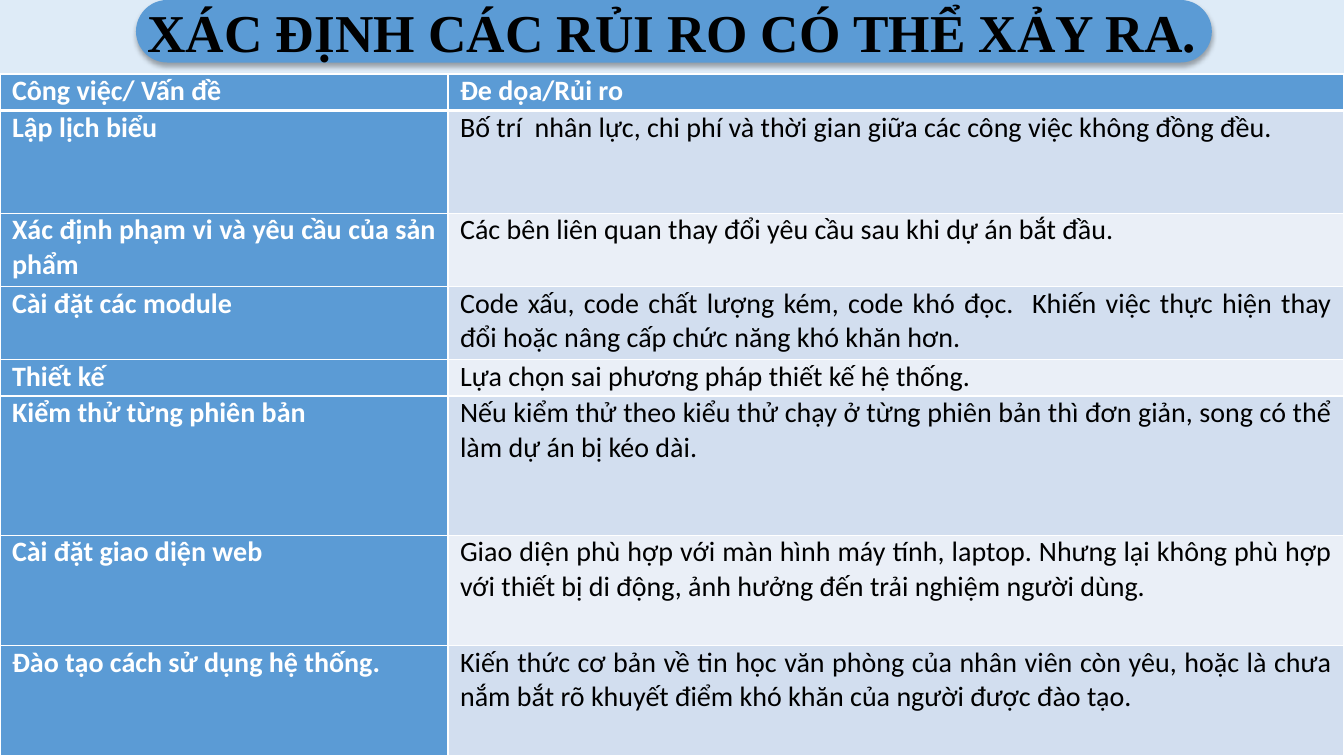
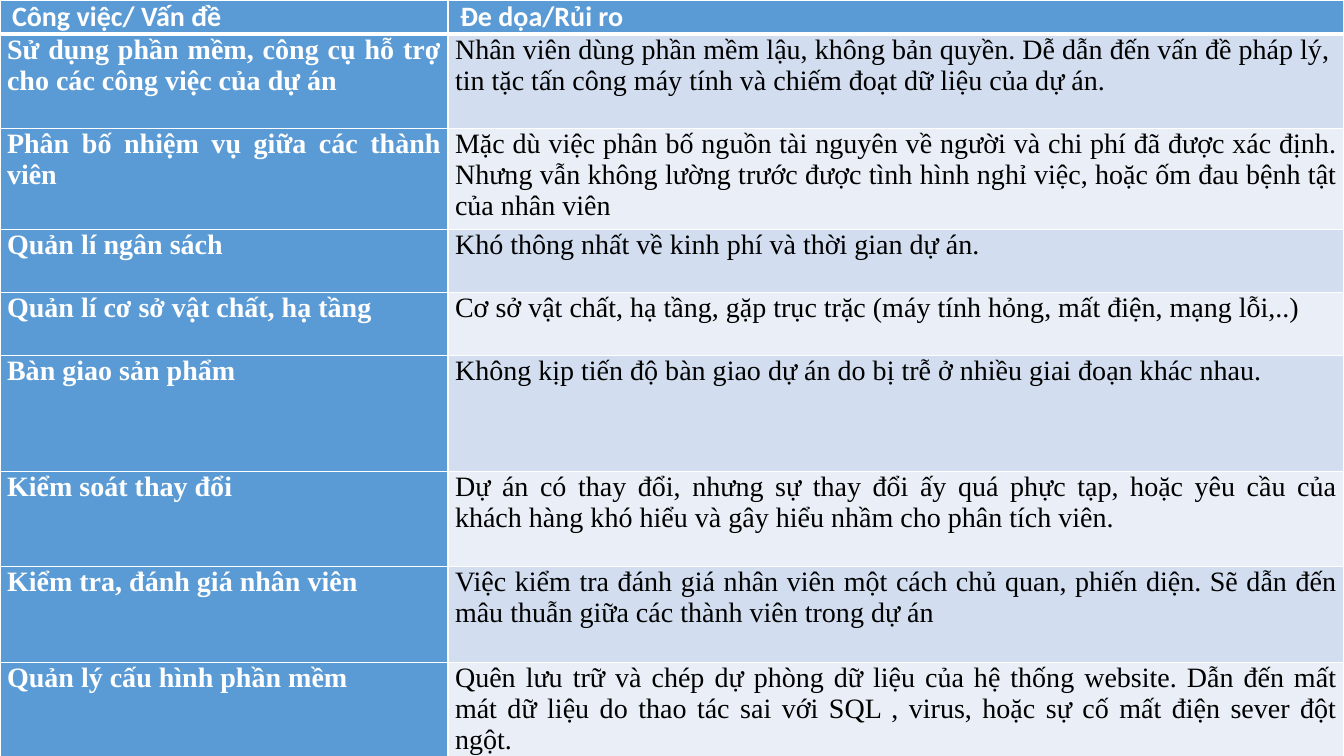
"""Build two slides that list project risks by task."""
from lxml.etree import SubElement
from pptx import Presentation
from pptx.dml.color import RGBColor
from pptx.enum.shapes import MSO_SHAPE
from pptx.enum.text import MSO_ANCHOR, PP_ALIGN
from pptx.oxml.ns import qn
from pptx.util import Inches, Pt

COLORS = {
    "background": "DEEBF7",
    "accent": "5B9BD5",
    "band_dark": "D2DEEF",
    "band_light": "EAEFF7",
    "light": "FFFFFF",
    "dark": "000000",
}
SANS = "Calibri"
SERIF = "Times New Roman"
HEADER = ("Công việc/ Vấn đề", "Đe dọa/Rủi ro")

PLANNING_RISKS = [
    (13.6, "Lập lịch biểu",
     "Bố trí  nhân lực, chi phí và thời gian giữa các công việc không đồng đều."),
    (9.7, "Xác định phạm vi và yêu cầu của sản phẩm",
     "Các bên liên quan thay đổi yêu cầu sau khi dự án bắt đầu."),
    (9.7, "Cài đặt các module",
     "Code xấu, code chất lượng kém, code khó đọc.  Khiến việc thực hiện thay "
     "đổi hoặc nâng cấp chức năng khó khăn hơn."),
    (4.8, "Thiết kế",
     "Lựa chọn sai phương pháp thiết kế hệ thống."),
    (18.4, "Kiểm thử từng phiên bản",
     "Nếu kiểm thử theo kiểu thử chạy ở từng phiên bản thì đơn giản, song có thể "
     "làm dự án bị kéo dài."),
    (14.6, "Cài đặt giao diện web",
     "Giao diện phù hợp với màn hình máy tính, laptop. Nhưng lại không phù hợp "
     "với thiết bị di động, ảnh hưởng đến trải nghiệm người dùng."),
    (14.6, "Đào tạo cách sử dụng hệ thống.",
     "Kiến thức cơ bản về tin học văn phòng của nhân viên còn yêu, hoặc là chưa "
     "nắm bắt rõ khuyết điểm khó khăn của người được đào tạo."),
]

OPERATION_RISKS = [
    (12.5, "Sử dụng phần mềm, công cụ hỗ trợ cho các công việc của dự án",
     "Nhân viên dùng phần mềm lậu, không bản quyền. Dễ dẫn đến vấn đề pháp lý,  "
     "tin tặc tấn công máy tính và chiếm đoạt dữ liệu của dự án."),
    (12.5, "Phân bố nhiệm vụ giữa các thành viên",
     "Mặc dù việc phân bố nguồn tài nguyên về người và chi phí đã được xác định. "
     "Nhưng vẫn không lường trước được tình hình nghỉ việc, hoặc ốm đau bệnh tật "
     "của nhân viên"),
    (8.4, "Quản lí ngân sách",
     "Khó thông nhất về kinh phí và thời gian dự án."),
    (8.3, "Quản lí cơ sở vật chất, hạ tầng",
     "Cơ sở vật chất, hạ tầng, gặp trục trặc (máy tính hỏng, mất điện, mạng lỗi,..)"),
    (15.3, "Bàn giao sản phẩm",
     "Không kịp tiến độ bàn giao dự án do bị trễ ở nhiều giai đoạn khác nhau."),
    (12.65, "Kiểm soát thay đổi",
     "Dự án có thay đổi, nhưng sự thay đổi ấy quá phực tạp, hoặc yêu cầu của "
     "khách hàng khó hiểu và gây hiểu nhầm cho phân tích viên."),
    (12.65, "Kiểm tra, đánh giá nhân viên",
     "Việc kiểm tra đánh giá nhân viên một cách chủ quan, phiến diện. Sẽ dẫn đến "
     "mâu thuẫn giữa các thành viên trong dự án"),
    (13.2, "Quản lý cấu hình phần mềm",
     "Quên lưu trữ và chép dự phòng dữ liệu của hệ thống website. Dẫn đến mất "
     "mát dữ liệu do thao tác sai với SQL , virus, hoặc sự cố mất điện sever đột "
     "ngột."),
]


def color(name):
    """Return the named palette colour."""
    return RGBColor.from_string(COLORS[name])


def write(frame, text, font=SANS, size=20, ink="dark", bold=False,
          align=PP_ALIGN.JUSTIFY, spacing=1.0):
    """Put one formatted paragraph into a text frame."""
    frame.word_wrap = True
    paragraph = frame.paragraphs[0]
    paragraph.alignment = align
    paragraph.line_spacing = spacing
    paragraph.space_before = paragraph.space_after = Pt(0)
    run = paragraph.add_run()
    run.text = text
    run.font.name = font
    run.font.size = Pt(size)
    run.font.bold = bold
    run.font.color.rgb = color(ink)


def add_color(parent, name):
    """Add a colour element to an XML parent."""
    return SubElement(parent, qn("a:srgbClr"), val=COLORS[name])


def add_borders(cell, **widths):
    """Draw white cell borders, one point wide unless a side says otherwise."""
    properties = cell._tc.get_or_add_tcPr()
    for side in ("L", "R", "T", "B"):
        line = SubElement(properties, qn(f"a:ln{side}"), w=str(Pt(widths.get(side, 1))))
        add_color(SubElement(line, qn("a:solidFill")), "light")


class RiskDeck:
    """Holds the presentation, its style and the current slide."""

    def __init__(self):
        """Start a widescreen presentation."""
        self.presentation = Presentation()
        self.presentation.slide_width = Inches(13.33)
        self.presentation.slide_height = Inches(7.5)
        self.slide = None

    def across(self, percent):
        """Turn a share of the slide width into a length."""
        return round(self.presentation.slide_width * percent / 100)

    def down(self, percent):
        """Turn a share of the slide height into a length."""
        return round(self.presentation.slide_height * percent / 100)

    def area(self, left, top, width, height):
        """Turn percentages into a position and a size."""
        return self.across(left), self.down(top), self.across(width), self.down(height)

    def add_slide(self):
        """Add a blank slide on the shared background."""
        self.slide = self.presentation.slides.add_slide(self.presentation.slide_layouts[6])
        fill = self.slide.background.fill
        fill.solid()
        fill.fore_color.rgb = color("background")

    def add_title(self, text):
        """Add the title on its shadowed pill."""
        pill = self.slide.shapes.add_shape(
            MSO_SHAPE.ROUNDED_RECTANGLE, *self.area(10.12, 0, 80.05, 8.27))
        pill.adjustments[0] = 0.5
        pill.fill.solid()
        pill.fill.fore_color.rgb = color("accent")
        pill.line.fill.background()
        pill.shadow.inherit = False
        effects = pill._element.spPr.find(qn("a:effectLst"))
        shadow = SubElement(effects, qn("a:outerShdw"), blurRad=str(Pt(3.5)),
                            dist=str(Pt(2.2)), dir="5400000", algn="t", rotWithShape="0")
        SubElement(add_color(shadow, "dark"), qn("a:alpha"), val="32000")
        title = self.slide.shapes.add_textbox(*self.area(0, 0, 100, 9.73))
        title.text_frame.vertical_anchor = MSO_ANCHOR.MIDDLE
        write(title.text_frame, text, font=SERIF, size=38, bold=True,
              align=PP_ALIGN.CENTER, spacing=0.8)

    def fill_cell(self, cell, text, fill, margin, borders, **text_format):
        """Style one table cell and write its text."""
        cell.margin_left = cell.margin_right = Inches(margin)
        cell.margin_top = cell.margin_bottom = 0
        add_borders(cell, **borders)
        cell.fill.solid()
        cell.fill.fore_color.rgb = color(fill)
        write(cell.text_frame, text, **text_format)

    def add_risk_table(self, risks, top, header_height, font=SANS, margin=0.12):
        """Add a full-width table with a header, a task column and banded risks."""
        rows = [(header_height, *HEADER), *risks]
        total = sum(height for height, *_ in rows)
        table = self.slide.shapes.add_table(
            len(rows), 2, *self.area(0, top, 100, total)).table
        table.first_row = table.horz_banding = False
        for column, parts in zip(table.columns, (1, 2)):
            column.width = self.across(100 * parts / 3)
        for row, (height, *texts) in enumerate(rows):
            table.rows[row].height = self.down(height)
            is_header = row == 0
            borders = {0: {"B": 3}, 1: {"T": 3}}.get(row, {})
            for column, text in enumerate(texts):
                strong = is_header or column == 0
                band = "band_dark" if row % 2 else "band_light"
                self.fill_cell(
                    table.cell(row, column), text,
                    fill="accent" if strong else band,
                    margin=0.12 if is_header else margin,
                    borders=borders,
                    font=SANS if is_header else font,
                    ink="light" if strong else "dark",
                    bold=strong)


def main():
    """Build and save the presentation."""
    deck = RiskDeck()
    deck.add_slide()
    deck.add_title("XÁC ĐỊNH CÁC RỦI RO CÓ THỂ XẢY RA.")
    deck.add_risk_table(PLANNING_RISKS, top=9.8, header_height=4.8)
    deck.add_slide()
    deck.add_risk_table(OPERATION_RISKS, top=0, header_height=4.5, font=SERIF, margin=0.07)
    deck.presentation.save("out.pptx")


if __name__ == "__main__":
    main()
